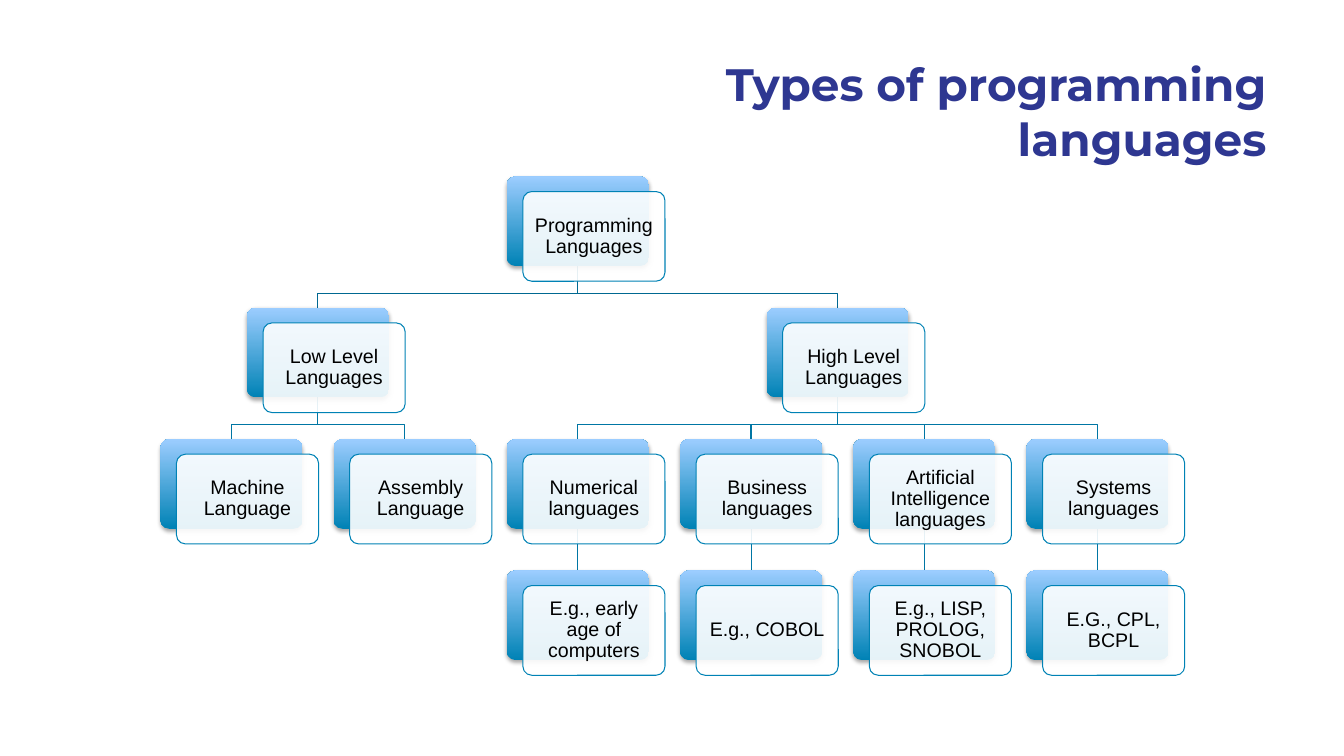
from lxml import etree
from pptx import Presentation
from pptx.dml.color import RGBColor
from pptx.enum.shapes import MSO_CONNECTOR as Link, MSO_SHAPE as Kind
from pptx.enum.text import MSO_ANCHOR as Anchor, PP_ALIGN as Align
from pptx.oxml.ns import qn
from pptx.util import Inches, Pt

TITLE = "Types of programming languages"
# key: (text, column, row, parent)
NODES = {
    "root": ("Programming Languages", 2, 0, None),
    "low": ("Low Level Languages", 0.5, 1, "root"),
    "machine": ("Machine Language", 0, 2, "low"),
    "assembly": ("Assembly Language", 1, 2, "low"),
    "high": ("High Level Languages", 3.5, 1, "root"),
    "number": ("Numerical languages", 2, 2, "high"),
    "early": ("E.g., early age of computers", 2, 3, "number"),
    "business": ("Business languages", 3, 2, "high"),
    "cobol": ("E.g., COBOL", 3, 3, "business"),
    "ai": ("Artificial Intelligence languages", 4, 2, "high"),
    "lisp": ("E.g., LISP, PROLOG, SNOBOL", 4, 3, "ai"),
    "systems": ("Systems languages", 5, 2, "high"),
    "cpl": ("E.G., CPL, BCPL", 5, 3, "systems"),
}

NAVY = RGBColor(0x2E, 0x37, 0x91)
BLUE = RGBColor(0x00, 0x82, 0xB5)
SKY = RGBColor(0x9C, 0xCD, 0xFF)
DEEP = RGBColor(0x00, 0x68, 0x91)
TEAL = RGBColor(0x00, 0x76, 0xA4)
WHITE = RGBColor(0xFF, 0xFF, 0xFF)
BLACK = RGBColor(0, 0, 0)

LEFT, TOP = 1.59, 1.75
STEP_X, STEP_Y = 1.718, 1.303
WIDE, HIGH = 1.41, 0.89
SHIFT_X, SHIFT_Y = 0.16, 0.15
BEND = 0.27

deck = Presentation()
deck.slide_width, deck.slide_height = Inches(13.33), Inches(7.5)
slide = deck.slides.add_slide(deck.slide_layouts[6])
shapes = slide.shapes


def place(key):
    col, row = NODES[key][1:3]
    return LEFT + col * STEP_X, TOP + row * STEP_Y


def write(frame, text, size, font, color, align, bold=False):
    frame.word_wrap = True
    para = frame.paragraphs[0]
    para.alignment = align
    run = para.add_run()
    run.text = text
    run.font.size, run.font.name, run.font.bold = Pt(size), font, bold
    run.font.color.rgb = color
    return para


def join(key):
    """Draw the line from a node's parent down to the node."""
    up = NODES[key][3]
    (px, py), (x, y) = place(up), place(key)
    mid, end = px + WIDE / 2, x + WIDE / 2
    start = py + HIGH
    if mid == end:
        line = shapes.add_connector(Link.STRAIGHT, Inches(mid), Inches(start),
                                    Inches(end), Inches(y))
        etree.SubElement(line._element.spPr, qn("a:effectLst"))
    else:
        turns = [(mid, start + BEND), (end, start + BEND), (end, y)]
        path = shapes.build_freeform(Inches(mid), Inches(start))
        path.add_line_segments([(Inches(a), Inches(b)) for a, b in turns],
                               close=False)
        line = path.convert_to_shape()
        line.fill.background()
        line.shadow.inherit = False
    line.line.color.rgb = DEEP if up == "root" else TEAL
    line.line.width = Pt(0.75)


def card(x, y):
    box = shapes.add_shape(Kind.ROUNDED_RECTANGLE, Inches(x), Inches(y),
                           Inches(WIDE), Inches(HIGH))
    box.adjustments[0] = 0.1
    box.shadow.inherit = False
    return box


def add_alpha(color, percent):
    etree.SubElement(color, qn("a:alpha"), val=str(percent * 1000))


def node(key):
    """Draw a shaded back card and a pale front card with the text."""
    x, y = place(key)
    back = card(x, y)
    back.fill.gradient()
    back.fill.gradient_angle = 90
    for stop, color in zip(back.fill.gradient_stops, (BLUE, SKY)):
        stop.color.rgb = color
    back.line.fill.background()
    effects = back._element.spPr.find(qn("a:effectLst"))
    shade = etree.SubElement(effects, qn("a:outerShdw"), blurRad=str(Pt(3.1)),
                             dist=str(Pt(1.8)), dir="5400000", rotWithShape="0")
    add_alpha(etree.SubElement(shade, qn("a:srgbClr"), val="000000"), 35)

    front = card(x + SHIFT_X, y + SHIFT_Y)
    front.fill.solid()
    front.fill.fore_color.rgb = WHITE
    add_alpha(front._element.spPr.find(qn("a:solidFill"))[0], 90)
    front.line.color.rgb = BLUE
    front.line.width = Pt(0.75)
    frame = front.text_frame
    frame.vertical_anchor = Anchor.MIDDLE
    frame.margin_left = frame.margin_right = Inches(0.06)
    frame.margin_top = frame.margin_bottom = Inches(0.06)
    para = write(frame, NODES[key][0], 14, "Arial", BLACK, Align.CENTER)
    para.line_spacing = 0.9


for key in NODES:
    if NODES[key][3]:
        join(key)
for key in NODES:
    node(key)

head = shapes.add_textbox(Inches(5.96), Inches(0.51), Inches(6.7), Inches(0.88))
write(head.text_frame, TITLE, 32.4, "Montserrat", NAVY, Align.RIGHT, bold=True)

deck.save("out.pptx")
